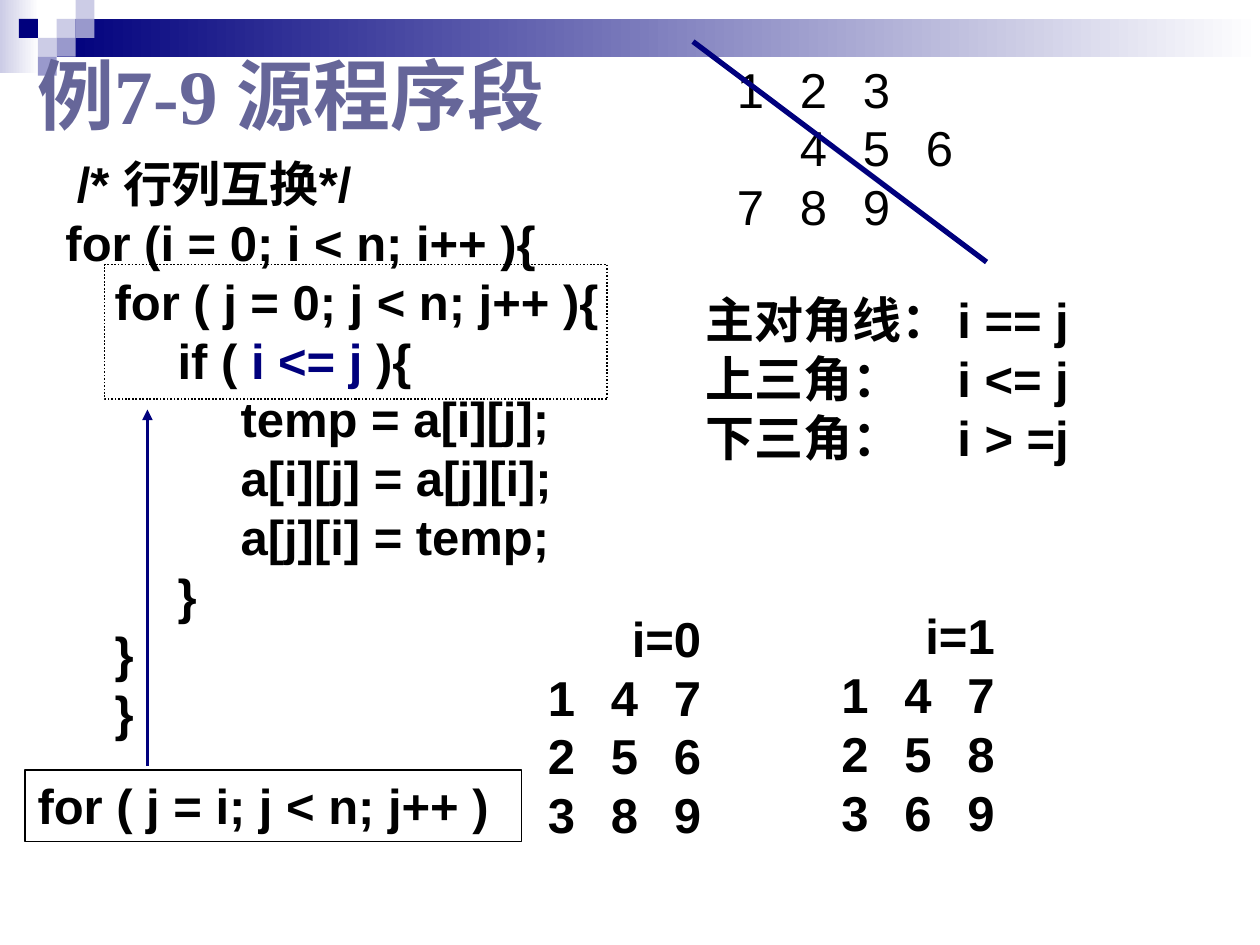
from dataclasses import dataclass

from lxml.etree import SubElement
from pptx import Presentation
from pptx.dml.color import RGBColor
from pptx.enum.dml import MSO_LINE
from pptx.enum.shapes import MSO_CONNECTOR, MSO_SHAPE
from pptx.enum.text import MSO_ANCHOR, MSO_AUTO_SIZE, PP_ALIGN
from pptx.oxml import parse_xml
from pptx.oxml.ns import nsdecls, qn
from pptx.util import Inches, Pt


@dataclass(frozen=True)
class Theme:
    """Colours, fonts and type sizes of the slide."""

    ink: str = "000000"
    navy: str = "00007D"
    slate: str = "666699"
    mid: str = "9999CC"
    pale: str = "CCCCE6"
    white: str = "FFFFFF"
    font: str = "Arial"
    serif: str = "Times New Roman"
    asian: str = "Noto Sans CJK SC"
    head: float = 44
    body: float = 28
    pitch: float = 33.6


THEME = Theme()
CELL = 0.15
STEP = 0.65


def rgb(code):
    """Turn a hex code into a colour."""
    return RGBColor.from_string(code)


def place(shape, box):
    """Move and size a shape in inches."""
    shape.left, shape.top, shape.width, shape.height = map(Inches, box)


def style(para, size, name, color, bold=True):
    """Set the font of a paragraph and return its properties node."""
    font = para.font
    font.size, font.name, font.bold = Pt(size), name, bold
    font.color.rgb = rgb(color)
    node = para._p.pPr.find(qn("a:defRPr"))
    SubElement(node, qn("a:ea")).set("typeface", THEME.asian)
    return node


def write(para, text, bold=True, tabs=(), indent=0):
    """Write a body line, with any tab stops and left indent."""
    para.text = text
    para.line_spacing = Pt(THEME.pitch)
    para.space_before = Pt(0)
    node = style(para, THEME.body, THEME.font, THEME.ink, bold)
    props = para._p.pPr
    props.set("marL", str(Inches(indent)))
    props.set("indent", "0")
    node.addprevious(parse_xml(f"<a:buNone {nsdecls('a')}/>"))
    if tabs:
        stops = "".join(f'<a:tab pos="{Inches(t)}" algn="l"/>' for t in tabs)
        node.addprevious(parse_xml(f"<a:tabLst {nsdecls('a')}>{stops}</a:tabLst>"))


def lines(frame, count):
    """Give a frame as many paragraphs as asked."""
    frame.word_wrap = True
    frame.auto_size = MSO_AUTO_SIZE.NONE
    frame.vertical_anchor = MSO_ANCHOR.TOP
    return [frame.paragraphs[0]] + [frame.add_paragraph() for _ in range(count - 1)]


def block(slide, box, rows, tabs, bold=True):
    """Add a text box of tabbed rows and return its paragraphs."""
    frame = slide.shapes.add_textbox(*map(Inches, box)).text_frame
    paras = lines(frame, len(rows))
    for para, row in zip(paras, rows):
        write(para, row, bold, tabs)
    return paras


def grid(slide, box, rows, bold=True, head=None):
    """Add a number matrix, with a centred heading if given."""
    texts = ["\t".join(row) for row in rows]
    if head:
        texts.insert(0, head)
    paras = block(slide, box, texts, [STEP * n for n in (1, 2, 3)], bold)
    if head:
        paras[0].alignment = PP_ALIGN.CENTER


def rect(slide, box, fill=None, fade=None, line=None):
    """Add a plain, faded or outlined rectangle."""
    shape = slide.shapes.add_shape(MSO_SHAPE.RECTANGLE, *map(Inches, box))
    shape.shadow.inherit = False
    if fade:
        shape.fill.gradient()
        shape.fill.gradient_angle = 0
        for stop, code in zip(shape.fill.gradient_stops, fade):
            stop.color.rgb = rgb(code)
    elif fill:
        shape.fill.solid()
        shape.fill.fore_color.rgb = rgb(fill)
    else:
        shape.fill.background()
    if line:
        shape.line.color.rgb = rgb(line)
        shape.line.width = Pt(1)
    else:
        shape.line.fill.background()
    return shape


def stroke(slide, ends, width, arrow=False):
    """Add a straight line, with an arrowhead at its end if asked."""
    line = slide.shapes.add_connector(MSO_CONNECTOR.STRAIGHT, *map(Inches, ends))
    line.line.color.rgb = rgb(THEME.navy)
    line.line.width = Pt(width)
    if arrow:
        SubElement(line.line._get_or_add_ln(), qn("a:tailEnd")).set("type", "triangle")
    SubElement(line._element.spPr, qn("a:effectLst"))


def banner(slide):
    """Draw the faded bar and its mosaic of squares."""
    rect(slide, (0, 0, 0.31, 0.58), fade=(THEME.pale, THEME.white))
    rect(slide, (0.45, 0.15, 9.55, 0.3), fade=(THEME.navy, THEME.white))
    tiles = {
        THEME.pale: [(3, 1), (4, 0), (2, 2)],
        THEME.mid: [(4, 1), (3, 2), (2, 3)],
        THEME.navy: [(1, 1)],
    }
    for color, spots in tiles.items():
        for col, row in spots:
            rect(slide, (col * CELL, row * CELL, CELL, CELL), color)


def title(slide):
    """Fill the title placeholder."""
    shape = slide.shapes.title
    slide.shapes._spTree.append(shape._element)
    place(shape, (0.2, 0.28, 4.75, 0.92))
    shape.text_frame.vertical_anchor = MSO_ANCHOR.MIDDLE
    para = shape.text_frame.paragraphs[0]
    para.text = "例7-9 源程序段"
    para.alignment = PP_ALIGN.LEFT
    style(para, THEME.head, THEME.serif, THEME.slate)


def code(slide):
    """Fill the body placeholder with the program."""
    rows = [
        (0.2, "/* 行列互换*/"),
        (0.11, "for (i = 0; i < n; i++ ){"),
        (0.5, "for ( j = 0; j < n; j++ ){"),
        (1, "if ( "),
        (1.5, "temp = a[i][j];"),
        (1.5, "a[i][j] = a[j][i];"),
        (1.5, "a[j][i] = temp;"),
        (1, "}"),
        (0.5, "}"),
        (0.5, "}"),
    ]
    shape = slide.placeholders[1]
    slide.shapes._spTree.append(shape._element)
    place(shape, (0.31, 1.17, 5, 4.81))
    paras = lines(shape.text_frame, len(rows))
    for para, (indent, text) in zip(paras, rows):
        write(para, text, indent=indent)
    test, close = paras[3].add_run(), paras[3].add_run()
    test.text, close.text = "i <= j ", "){"
    test.font.color.rgb = rgb(THEME.navy)


def main():
    """Build the slide and save it."""
    deck = Presentation()
    deck.slide_width, deck.slide_height = Inches(10), Inches(7.5)
    slide = deck.slides.add_slide(deck.slide_layouts[1])
    banner(slide)
    code(slide)
    grid(slide, (5.75, 0.42, 2.4, 1.5), ["123", ["", *"456"], "789"], bold=False)
    stroke(slide, (5.5, 0.33, 7.83, 2.08), 3)
    rules = ["主对角线：\ti == j", "上三角：\ti <= j", "下三角：\ti > =j"]
    block(slide, (5.5, 2.25, 4, 1.5), rules, [2.02])
    grid(slide, (4.25, 4.78, 2.08, 1.97), ["147", "256", "389"], head="i=0")
    grid(slide, (6.58, 4.76, 2.08, 1.97), ["147", "258", "369"], head="i=1")
    title(slide)
    frame = rect(slide, (0.83, 2.1, 3.99, 1.07), line=THEME.ink)
    frame.line.dash_style = MSO_LINE.ROUND_DOT
    stroke(slide, (1.17, 6.08, 1.17, 3.25), 2, arrow=True)
    label = rect(slide, (0.2, 6.11, 3.94, 0.57), line=THEME.ink)
    para = lines(label.text_frame, 1)[0]
    write(para, "for ( j = i; j < n; j++ )")
    para.alignment = PP_ALIGN.LEFT
    deck.save("out.pptx")


if __name__ == "__main__":
    main()
